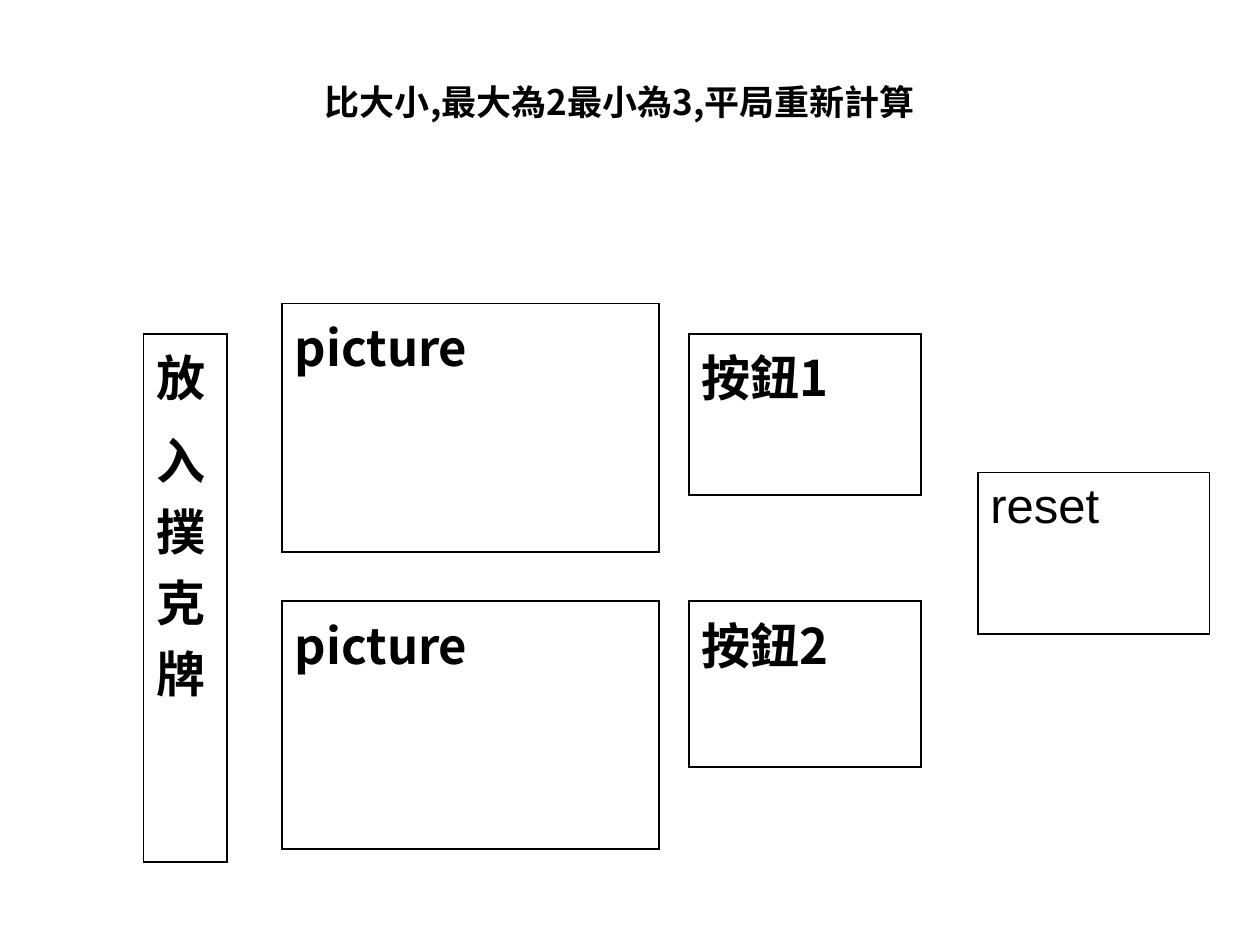
from dataclasses import dataclass

from lxml import etree
from pptx import Presentation
from pptx import util as u
from pptx.dml.color import RGBColor
from pptx.enum import text
from pptx.oxml.ns import qn


@dataclass
class Theme:
    ink: str = "000000"
    sans: str = "Arial"
    han: str = "Noto Sans CJK SC"
    head: int = 20
    body: int = 28
    gap: int = 7
    lead: float = 0.83
    edge: float = 1.08


class Board:
    """Draws titles and framed boxes on one slide in a shared style."""

    def __init__(self, slide, theme):
        self.slide, self.theme = slide, theme

    def label(self, frame, lines, size, face, bold, para):
        frame.word_wrap = True
        for num, line in enumerate(lines):
            par = frame.add_paragraph() if num else frame.paragraphs[0]
            for key, val in para.items():
                setattr(par, key, val)
            run = par.add_run()
            run.text = line
            look = {"size": u.Pt(size), "bold": bold, "name": face}
            for key, val in look.items():
                setattr(run.font, key, val)
            run.font.color.rgb = RGBColor.from_string(self.theme.ink)
            east = etree.SubElement(run._r.get_or_add_rPr(), qn("a:ea"))
            east.set("typeface", self.theme.han)

    def title(self, spot, line):
        t = self.theme
        frame = self.slide.shapes.add_textbox(*map(u.Inches, spot)).text_frame
        frame.vertical_anchor = text.MSO_ANCHOR.MIDDLE
        self.label(frame, [line], t.head, t.han, True, {"line_spacing": t.lead})

    def box(self, spot, lines, face, bold=True):
        t = self.theme
        table = self.slide.shapes.add_table(1, 1, *map(u.Inches, spot)).table
        for key in ("first_row", "horz_banding"):
            setattr(table, key, False)
        cell = table.cell(0, 0)
        self.border(cell)
        cell.fill.background()
        self.label(cell.text_frame, lines, t.body, face, bold,
                   {"space_before": u.Pt(t.gap)})

    def border(self, cell):
        props = cell._tc.get_or_add_tcPr()
        for side in ("lnL", "lnR", "lnT", "lnB"):
            line = etree.SubElement(props, qn(f"a:{side}"))
            line.set("w", str(u.Pt(self.theme.edge)))
            fill = etree.SubElement(line, qn("a:solidFill"))
            etree.SubElement(fill, qn("a:srgbClr")).set("val", self.theme.ink)


def main():
    deck = Presentation()
    deck.slide_width, deck.slide_height = u.Inches(10), u.Inches(7.5)
    theme = Theme()
    board = Board(deck.slides.add_slide(deck.slide_layouts[6]), theme)

    board.title((2.48, 0.52, 5.2, 0.63), "比大小,最大為2最小為3,平局重新計算")
    for top in (2.41, 4.77):
        board.box((2.24, top, 2.99, 1.97), ["picture"], theme.han)
    for num, (top, high) in enumerate(((2.65, 1.28), (4.77, 1.32)), 1):
        board.box((5.47, top, 1.84, high), [f"按鈕{num}"], theme.han)
    board.box((7.76, 3.75, 1.84, 1.28), ["reset"], theme.sans, False)
    board.box((1.14, 2.65, 0.66, 4.19), ["放", "入撲克牌"], theme.sans)
    deck.save("out.pptx")


if __name__ == "__main__":
    main()
